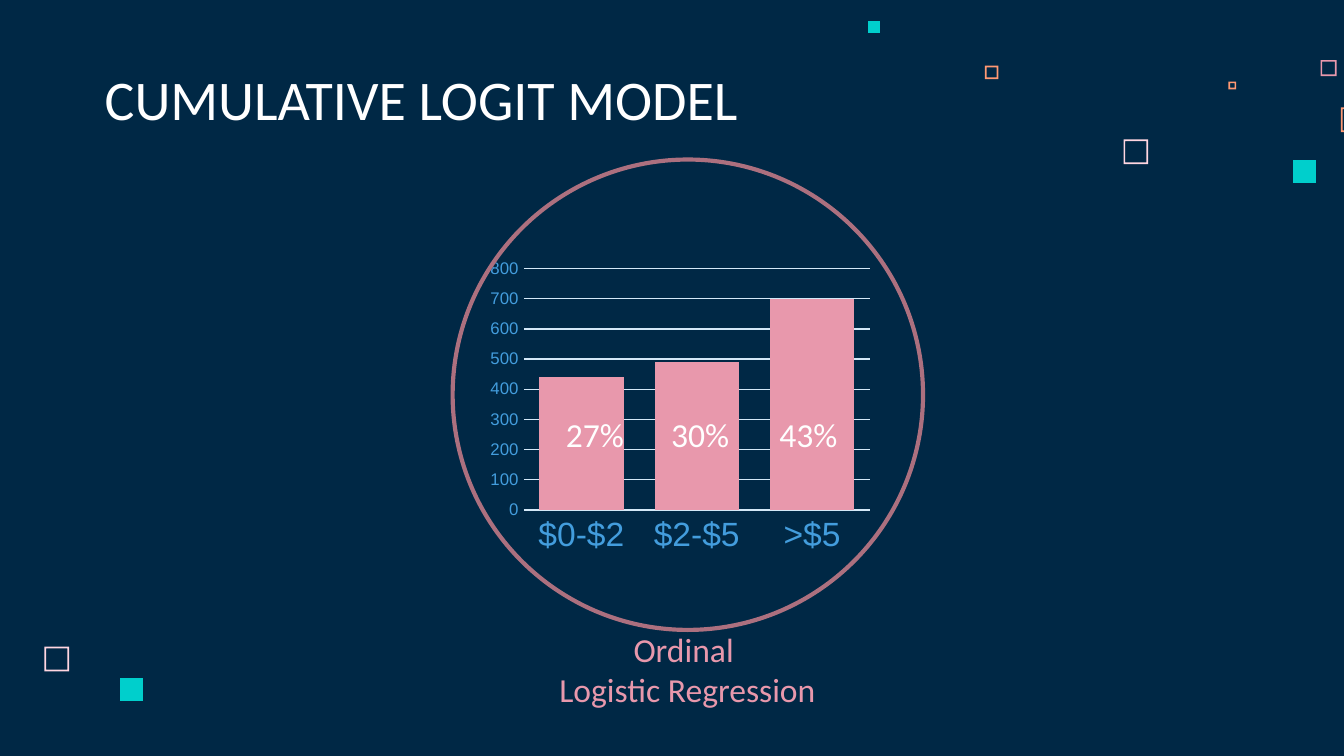
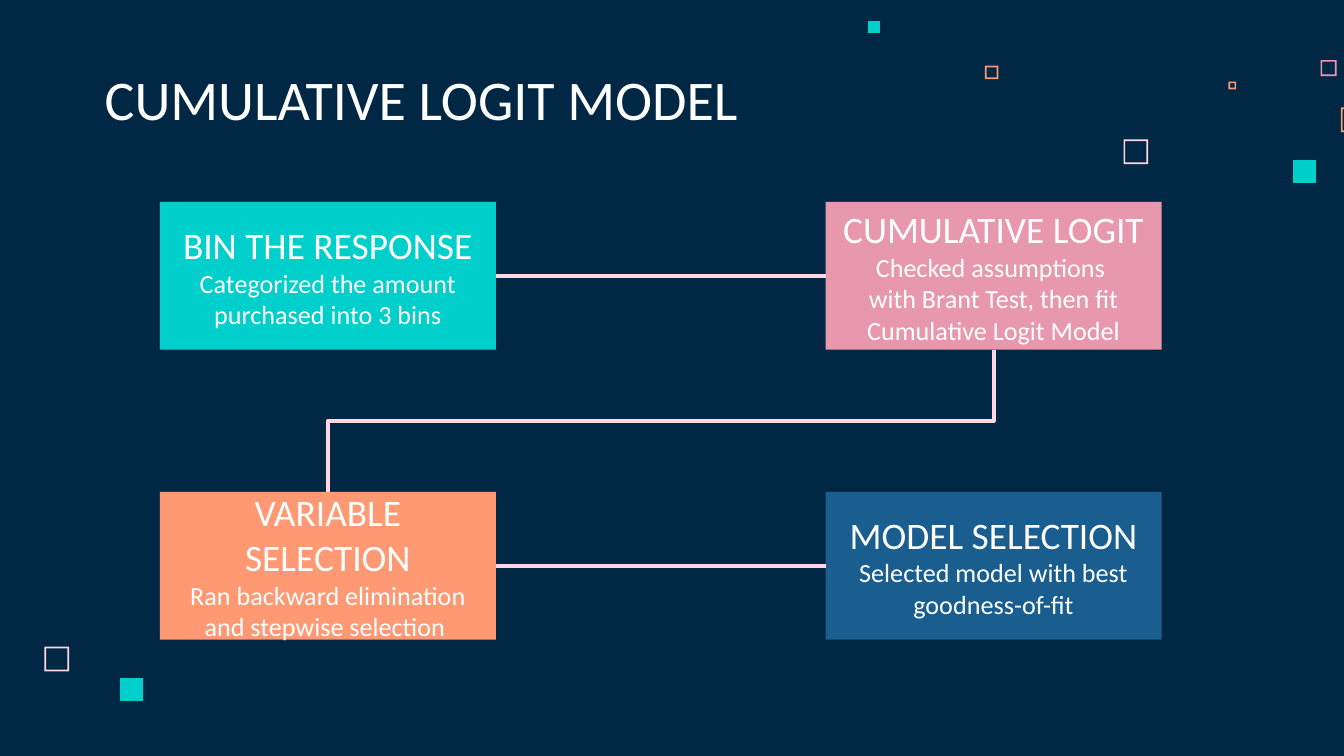
from copy import deepcopy
from dataclasses import dataclass

from lxml.etree import SubElement
from pptx import Presentation
from pptx.chart.data import CategoryChartData
from pptx.dml.color import RGBColor
from pptx.enum.chart import XL_CHART_TYPE, XL_TICK_MARK
from pptx.enum.shapes import MSO_CONNECTOR, MSO_SHAPE
from pptx.enum.text import MSO_ANCHOR, PP_ALIGN
from pptx.oxml.ns import qn
from pptx.shapes.autoshape import Shape
from pptx.shapes.connector import Connector
from pptx.slide import Slide
from pptx.util import Pt

NAVY = RGBColor(0x00, 0x28, 0x45)
WHITE = RGBColor(0xFF, 0xFF, 0xFF)
TEAL = RGBColor(0x00, 0xCF, 0xCC)
PINK = RGBColor(0xE8, 0x98, 0xAC)
BLUSH = RGBColor(0xFF, 0xD6, 0xE1)
ROSE = RGBColor(0xAC, 0x70, 0x7F)
ORANGE = RGBColor(0xFF, 0x99, 0x73)
BLUE = RGBColor(0x1A, 0x5E, 0x8F)
SKY = RGBColor(0x43, 0x9D, 0xDD)
ICE = RGBColor(0xD4, 0xE8, 0xF7)

TEXT_FONT = "Calibri"
CHART_FONT = "Arial"
TITLE = "CUMULATIVE LOGIT MODEL"
INSET = Pt(7.2)
TOP, LEFT, BOTTOM, RIGHT = range(4)


@dataclass
class Square:
    left: float
    top: float
    side: float
    color: RGBColor
    hollow: bool = True


@dataclass
class Span:
    text: str
    size: float


@dataclass
class Step:
    column: int
    row: int
    color: RGBColor
    heading: str
    detail: str


SQUARES = [
    Square(601.9, 74.7, 13.2, BLUSH),
    Square(707.4, 32.2, 8.6, PINK),
    Square(658.1, 43.7, 4.2, ORANGE),
    Square(718.4, 57.6, 13.2, ORANGE),
    Square(692.7, 85.7, 12.4, TEAL, hollow=False),
    Square(527.7, 35.2, 7.2, ORANGE),
    Square(465.1, 11.3, 6.4, TEAL, hollow=False),
    Square(23.8, 346.5, 13.2, BLUSH),
    Square(64.2, 363.2, 12.4, TEAL, hollow=False),
]

STEPS = [
    Step(1, 0, PINK, "CUMULATIVE LOGIT",
         "Checked assumptions \nwith Brant Test, then fit Cumulative Logit Model"),
    Step(0, 1, ORANGE, "VARIABLE SELECTION",
         "Ran backward elimination and stepwise selection "),
    Step(0, 0, TEAL, "BIN THE RESPONSE", "Categorized the amount purchased into 3 bins"),
    Step(1, 1, BLUE, "MODEL SELECTION", "Selected model with best goodness-of-fit"),
]
STEP_WIDTH, STEP_HEIGHT = 180, 79.2
STEP_LEFT, STEP_TOP = 85.7, 108.2
COLUMN_PITCH, ROW_PITCH = 356.6, 155.3

SHARES = {"27%": 265, "30%": 321.4, "43%": 379.4}
BINS = {"$0-$2": 440, "$2-$5": 490, ">$5": 700}


def set_format(target: object, values: dict) -> None:
    for name, value in values.items():
        setattr(target, name, value)


def set_font(font: object, size: float, color: RGBColor, face: str) -> None:
    set_format(font, {"size": Pt(size), "name": face})
    font.color.rgb = color


def set_line(line: object, color: RGBColor, width: float) -> None:
    line.color.rgb = color
    line.width = Pt(width)


def write_text(box: Shape, paragraphs: list[list[Span]], color: RGBColor = WHITE,
               align: PP_ALIGN = PP_ALIGN.CENTER,
               anchor: MSO_ANCHOR = MSO_ANCHOR.BOTTOM) -> None:
    """Fill a shape with paragraphs; a newline in a span is a line break."""
    frame = box.text_frame
    set_format(frame, {
        "word_wrap": True, "vertical_anchor": anchor,
        "margin_left": INSET, "margin_right": INSET,
        "margin_top": INSET, "margin_bottom": INSET,
    })
    for index, spans in enumerate(paragraphs):
        para = frame.add_paragraph() if index else frame.paragraphs[0]
        para.alignment = align
        for span in spans:
            for number, line in enumerate(span.text.split("\n")):
                if number:
                    para.add_line_break()
                    # The break keeps the size of the text before it
                    para._p[-1].append(deepcopy(run._r.rPr))
                if line:
                    run = para.add_run()
                    run.text = line
                    set_font(run.font, span.size, color, TEXT_FONT)


def add_text(page: Slide, left: float, top: float, width: float, height: float,
             paragraphs: list[list[Span]], **style) -> None:
    box = page.shapes.add_textbox(Pt(left), Pt(top), Pt(width), Pt(height))
    write_text(box, paragraphs, **style)


def square_corners(left: float, top: float, side: float) -> list[tuple[int, int]]:
    right, bottom = left + side, top + side
    return [(Pt(x), Pt(y)) for x, y in
            ((left, top), (left, bottom), (right, bottom), (right, top))]


def add_square(page: Slide, square: Square) -> None:
    outer = square_corners(square.left, square.top, square.side)
    builder = page.shapes.build_freeform(*outer[0])
    builder.add_line_segments(outer[1:])
    if square.hollow:
        edge = 0.9
        inner = square_corners(square.left + edge, square.top + edge,
                               square.side - 2 * edge)[::-1]
        builder.move_to(*inner[0])
        builder.add_line_segments(inner[1:])
    shape = builder.convert_to_shape()
    shape.shadow.inherit = False
    shape.fill.solid()
    shape.fill.fore_color.rgb = square.color
    shape.line.fill.background()


def add_page(deck: Presentation) -> Slide:
    """Add a page with the scattered squares and the shared title."""
    page = deck.slides.add_slide(deck.slide_layouts[6])
    for square in SQUARES:
        add_square(page, square)
    add_text(page, 49, 32.4, 463.7, 45.4, [[Span(TITLE, 30)]], align=PP_ALIGN.LEFT)
    return page


def add_bin_chart(page: Slide) -> None:
    data = CategoryChartData()
    data.categories = list(BINS)
    data.add_series("Series 1", list(BINS.values()))
    chart = page.shapes.add_chart(XL_CHART_TYPE.COLUMN_CLUSTERED, Pt(258.5), Pt(135.4),
                                  Pt(211.7), Pt(164.2), data).chart
    set_format(chart, {"has_legend": False, "has_title": False})
    set_font(chart.font, 10, BLUE, CHART_FONT)

    plot = chart.plots[0]
    set_format(plot, {"gap_width": 37, "overlap": 16, "vary_by_categories": False})
    bars = plot.series[0].format.fill
    bars.solid()
    bars.fore_color.rgb = PINK

    for axis, size in ((chart.category_axis, 18), (chart.value_axis, 9)):
        set_format(axis, {"major_tick_mark": XL_TICK_MARK.NONE,
                          "minor_tick_mark": XL_TICK_MARK.NONE})
        set_font(axis.tick_labels.font, size, SKY, CHART_FONT)
    set_line(chart.category_axis.format.line, ICE, 0.75)
    set_format(chart.value_axis, {"minimum_scale": 0, "maximum_scale": 800,
                                  "major_unit": 100})
    chart.value_axis.format.line.fill.background()
    set_line(chart.value_axis.major_gridlines.format.line, ICE, 0.75)


def add_step(page: Slide, step: Step) -> Shape:
    box = page.shapes.add_shape(
        MSO_SHAPE.RECTANGLE, Pt(STEP_LEFT + step.column * COLUMN_PITCH),
        Pt(STEP_TOP + step.row * ROW_PITCH), Pt(STEP_WIDTH), Pt(STEP_HEIGHT))
    box.shadow.inherit = False
    box.fill.solid()
    box.fill.fore_color.rgb = step.color
    box.line.fill.background()
    write_text(box, [[Span(step.heading, 20)], [Span(step.detail, 14)]],
               anchor=MSO_ANCHOR.MIDDLE)
    return box


def join(page: Slide, kind: MSO_CONNECTOR, start: Shape, start_side: int,
         end: Shape, end_side: int) -> Connector:
    connector = page.shapes.add_connector(kind, 0, 0, 0, 0)
    connector.begin_connect(start, start_side)
    connector.end_connect(end, end_side)
    set_line(connector.line, BLUSH, 2.25)
    SubElement(connector._element.spPr, qn("a:effectLst"))
    return connector


def turn_elbow(connector: Connector) -> None:
    """Turn a quarter so that the elbow leaves downwards."""
    left, top = connector.left, connector.top
    width, height = connector.width, connector.height
    set_format(connector, {
        "left": left + (width - height) // 2, "top": top + (height - width) // 2,
        "width": height, "height": width,
    })
    frame = connector._element.spPr.find(qn("a:xfrm"))
    for flip in ("flipH", "flipV"):
        frame.attrib.pop(flip, None)
    frame.set("rot", str(90 * 60000))


def build_chart_page(deck: Presentation) -> None:
    page = add_page(deck)
    add_text(page, 283.7, 342, 169.2, 45.4,
             [[Span("Ordinal ", 18)], [Span("Logistic Regression", 18)]], color=PINK)
    add_bin_chart(page)
    # Ring around the chart
    ring = page.shapes.add_shape(MSO_SHAPE.OVAL, Pt(242.5), Pt(85.5), Pt(252), Pt(252))
    ring.shadow.inherit = False
    ring.fill.background()
    set_line(ring.line, ROSE, 2.25)
    # Share of each bin
    for share, left in SHARES.items():
        add_text(page, left, 202.3, 107.3, 48.2, [[Span(share, 18)]])


def build_steps_page(deck: Presentation) -> None:
    page = add_page(deck)
    logit, variables, response, model = [add_step(page, step) for step in STEPS]
    join(page, MSO_CONNECTOR.STRAIGHT, response, RIGHT, logit, LEFT)
    turn_elbow(join(page, MSO_CONNECTOR.ELBOW, logit, BOTTOM, variables, TOP))
    join(page, MSO_CONNECTOR.STRAIGHT, variables, RIGHT, model, LEFT)


def main() -> None:
    deck = Presentation()
    set_format(deck, {"slide_width": Pt(720), "slide_height": Pt(405)})
    background = deck.slide_master.background.fill
    background.solid()
    background.fore_color.rgb = NAVY
    build_chart_page(deck)
    build_steps_page(deck)
    deck.save("out.pptx")


if __name__ == "__main__":
    main()
